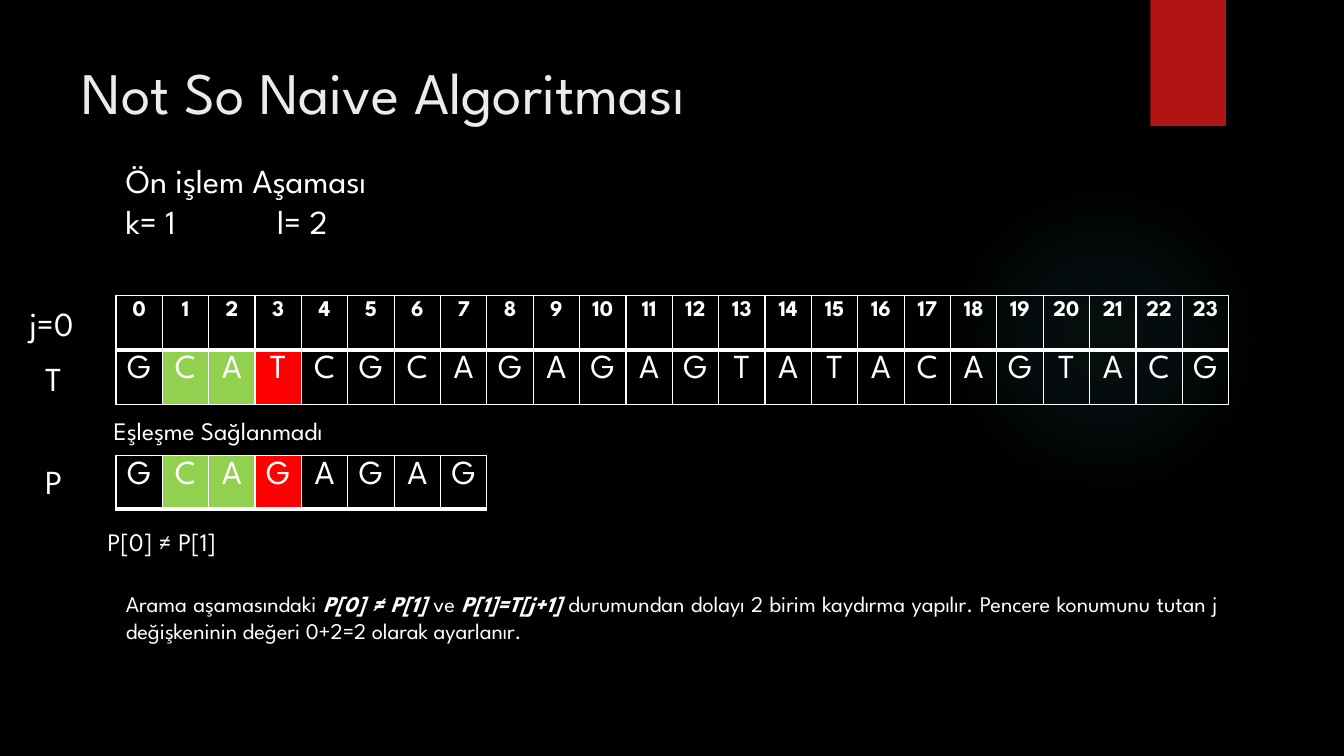
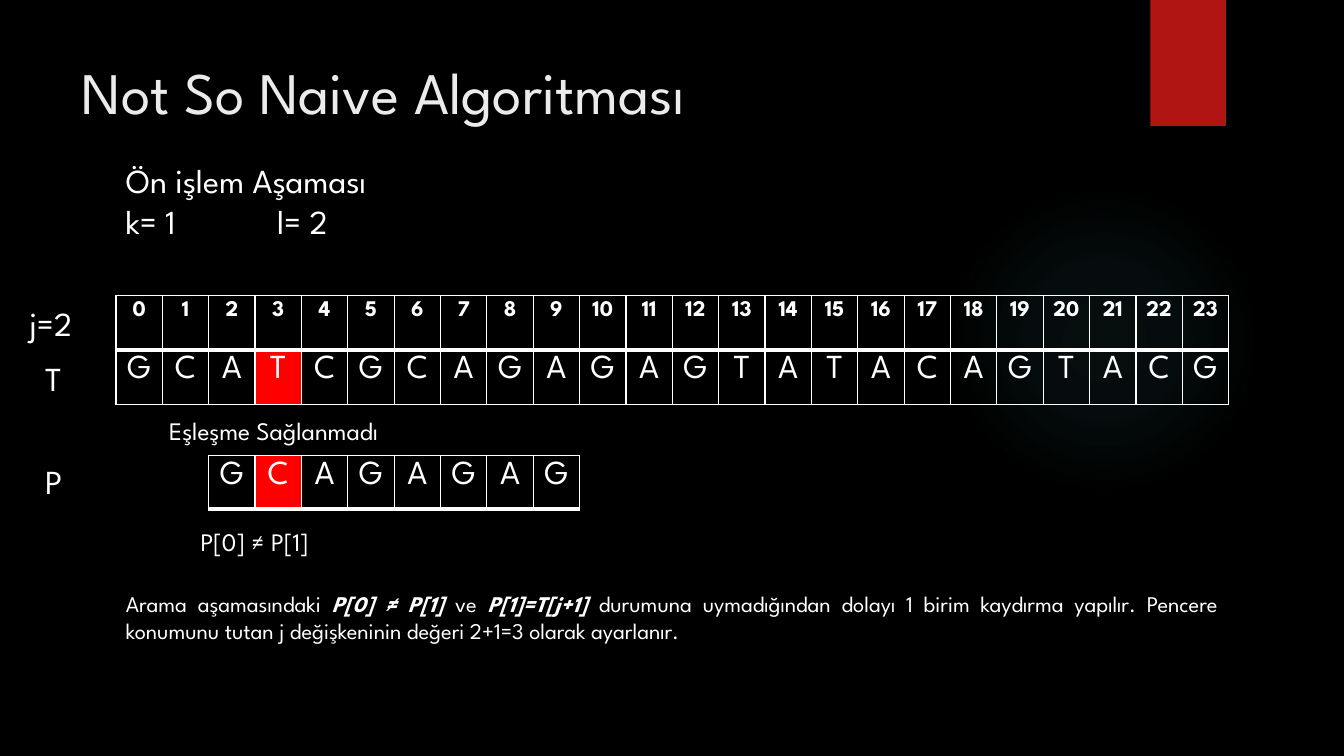
import dataclasses
import typing

import lxml.etree
import pptx
import pptx.dml.color
import pptx.enum.shapes
import pptx.enum.text
import pptx.oxml.ns
import pptx.presentation
import pptx.shapes.autoshape
import pptx.slide
import pptx.table
import pptx.text.text
import pptx.util

EMU_PER_PX = 9144
FONT = "League Spartan"
COLORS = {
    "background": "000000",
    "title": "EBEBEB",
    "text": "FFFFFF",
    "band": "B01513",
    "glow": "50B9C1",
    "match": "92D050",
    "mismatch": "FF0000",
}
GLOW_STOPS = ((0, 7), (36, 6), (69, 0))
SEARCHED_TEXT = "GCATCGCAGAGAGTATACAGTACG"
PATTERN = "GCAGAGAG"
TABLE_LEFT = 115
COLUMN_WIDTH = 46
LEFT = pptx.enum.text.PP_ALIGN.LEFT
CENTER = pptx.enum.text.PP_ALIGN.CENTER
JUSTIFY = pptx.enum.text.PP_ALIGN.JUSTIFY


@dataclasses.dataclass(frozen=True)
class Box:
    left: int
    top: int
    width: int
    height: int

    def emu(self) -> tuple[int, int, int, int]:
        return px(self.left), px(self.top), px(self.width), px(self.height)


@dataclasses.dataclass(frozen=True)
class Label:
    text: str
    box: Box
    size: int


@dataclasses.dataclass(frozen=True)
class TableRow:
    values: typing.Sequence[str]
    size: int
    bottom_border: int
    bold: bool = False
    fills: dict[int, str] = dataclasses.field(default_factory=dict)


@dataclasses.dataclass(frozen=True)
class Step:
    shift: int
    pattern_fills: dict[int, str]
    verdict_left: int
    conclusion: str


STEPS = (
    Step(
        0,
        {1: "match", 2: "match", 3: "mismatch"},
        103,
        "durumundan dolayı 2 birim kaydırma yapılır. Pencere konumunu tutan j "
        "değişkeninin değeri 0+2=2 olarak ayarlanır.",
    ),
    Step(
        2,
        {1: "mismatch"},
        158,
        "durumuna uymadığından dolayı 1 birim kaydırma yapılır. Pencere konumunu tutan j "
        "değişkeninin değeri 2+1=3 olarak ayarlanır.",
    ),
)

SHARED_LABELS = (
    Label("T", Box(35, 350, 35, 50), 24),
    Label("P", Box(35, 452, 40, 50), 24),
)


def px(length: int) -> int:
    return pptx.util.Emu(length * EMU_PER_PX)


def rgb(name: str) -> pptx.dml.color.RGBColor:
    return pptx.dml.color.RGBColor.from_string(COLORS[name])


def add_xml(parent: typing.Any, tag: str, **attributes: typing.Any) -> typing.Any:
    values = {key: str(value) for key, value in attributes.items()}
    return lxml.etree.SubElement(parent, pptx.oxml.ns.qn(tag), values)


def format_paragraph(
    paragraph: pptx.text.text._Paragraph,
    size: int,
    color: str = "text",
    alignment: pptx.enum.text.PP_ALIGN = LEFT,
    bold: bool = False,
) -> None:
    paragraph.alignment = alignment
    for run in paragraph.runs:
        run.font.name = FONT
        run.font.size = pptx.util.Pt(size)
        run.font.color.rgb = rgb(color)
        run.font.bold = bold


def add_label(
    slide: pptx.slide.Slide, label: Label, wrap: bool = False
) -> pptx.text.text.TextFrame:
    text_frame = slide.shapes.add_textbox(*label.box.emu()).text_frame
    text_frame.word_wrap = wrap
    text_frame.auto_size = pptx.enum.text.MSO_AUTO_SIZE.SHAPE_TO_FIT_TEXT
    text_frame.text = label.text
    for paragraph in text_frame.paragraphs:
        format_paragraph(paragraph, label.size)
    return text_frame


def add_preprocessing(slide: pptx.slide.Slide) -> None:
    label = Label("Ön işlem Aşaması\nk= 1\tl= 2", Box(TABLE_LEFT, 154, 313, 91), 24)
    paragraph = add_label(slide, label).paragraphs[1]
    tab_list = add_xml(paragraph._p.get_or_add_pPr(), "a:tabLst")
    add_xml(tab_list, "a:tab", pos=px(150), algn="l")


def add_explanation(slide: pptx.slide.Slide, conclusion: str) -> None:
    label = Label("Arama aşamasındaki ", Box(TABLE_LEFT, 581, 1103, 64), 16)
    paragraph = add_label(slide, label, wrap=True).paragraphs[0]
    for text in ("P[0] ≠ P[1] ", "ve ", "P[1]=T[j+1] ", conclusion):
        paragraph.add_run().text = text
    format_paragraph(paragraph, label.size, alignment=JUSTIFY)
    for run in paragraph.runs[1::2]:
        run.font.bold = True
        run.font.italic = True


def set_borders(cell: pptx.table._Cell, bottom: int) -> None:
    properties = cell._tc.get_or_add_tcPr()
    for side, width in (("L", 1), ("R", 1), ("T", 1), ("B", bottom)):
        line = add_xml(properties, f"a:ln{side}", w=pptx.util.Pt(width))
        add_xml(add_xml(line, "a:solidFill"), "a:srgbClr", val=COLORS["text"])


def add_letter_table(
    slide: pptx.slide.Slide, left: int, top: int, row_height: int, rows: typing.Sequence[TableRow]
) -> None:
    column_count = len(rows[0].values)
    box = Box(left, top, column_count * COLUMN_WIDTH, len(rows) * row_height)
    table = slide.shapes.add_table(len(rows), column_count, *box.emu()).table
    table.first_row = False
    table.horz_banding = False
    for row_index, row in enumerate(rows):
        for column_index, value in enumerate(row.values):
            cell = table.cell(row_index, column_index)
            cell.margin_left = cell.margin_right = px(5)
            cell.text_frame.text = value
            format_paragraph(
                cell.text_frame.paragraphs[0], row.size, alignment=CENTER, bold=row.bold
            )
            set_borders(cell, row.bottom_border)
            if column_index in row.fills:
                cell.fill.solid()
                cell.fill.fore_color.rgb = rgb(row.fills[column_index])
            else:
                cell.fill.background()


def fill_with_glow(shape: pptx.shapes.autoshape.Shape) -> None:
    shape.fill.gradient()
    gradient = shape.element.spPr.find(pptx.oxml.ns.qn("a:gradFill"))
    for child in list(gradient):
        gradient.remove(child)
    stops = add_xml(gradient, "a:gsLst")
    for position, opacity in GLOW_STOPS:
        stop = add_xml(stops, "a:gs", pos=position * 1000)
        color = add_xml(stop, "a:srgbClr", val=COLORS["glow"])
        add_xml(color, "a:alpha", val=opacity * 1000)
    circle = add_xml(gradient, "a:path", path="circle")
    add_xml(circle, "a:fillToRect", l=50000, t=50000, r=50000, b=50000)


def decorate_layout(layout: pptx.slide.SlideLayout, slide: pptx.slide.Slide) -> None:
    shape_types = pptx.enum.shapes.MSO_SHAPE
    glow = slide.shapes.add_shape(shape_types.OVAL, *Box(941, 183, 308, 308).emu())
    fill_with_glow(glow)
    band = slide.shapes.add_shape(shape_types.RECTANGLE, *Box(1141, 0, 75, 125).emu())
    band.fill.solid()
    band.fill.fore_color.rgb = rgb("band")
    for index, shape in enumerate((glow, band)):
        shape.line.fill.background()
        shape.shadow.inherit = False
        shape.element.nvSpPr.cNvPr.id = 20 + index
        layout.shapes.element.insert(2 + index, shape.element)


def set_title(slide: pptx.slide.Slide) -> None:
    title = slide.shapes.title
    title.left, title.top, title.width, title.height = Box(71, 50, 1029, 153).emu()
    text_frame = title.text_frame
    text_frame.text = "Not So Naive Algoritması"
    text_frame.vertical_anchor = pptx.enum.text.MSO_ANCHOR.TOP
    text_frame.auto_size = pptx.enum.text.MSO_AUTO_SIZE.NONE
    format_paragraph(text_frame.paragraphs[0], 42, "title")


def fill_step_slide(slide: pptx.slide.Slide, step: Step) -> None:
    set_title(slide)
    add_preprocessing(slide)
    text_fills = {index + step.shift: color for index, color in step.pattern_fills.items()}
    numbers = [str(index) for index in range(len(SEARCHED_TEXT))]
    text_rows = (
        TableRow(numbers, 16, 3, bold=True),
        TableRow(SEARCHED_TEXT, 24, 1, fills=text_fills),
    )
    add_letter_table(slide, TABLE_LEFT, 293, 54, text_rows)
    pattern_left = TABLE_LEFT + step.shift * COLUMN_WIDTH
    pattern_row = TableRow(PATTERN, 24, 3, fills=step.pattern_fills)
    add_letter_table(slide, pattern_left, 452, 53, (pattern_row,))
    step_labels = (
        Label(f"j={step.shift}", Box(19, 296, 66, 50), 24),
        Label("Eşleşme Sağlanmadı", Box(step.verdict_left, 407, 270, 40), 18),
        Label("P[0] ≠ P[1]", Box(pattern_left - 18, 517, 142, 40), 18),
    )
    for label in SHARED_LABELS + step_labels:
        add_label(slide, label)
    add_explanation(slide, step.conclusion)


def main() -> None:
    presentation = pptx.Presentation()
    presentation.slide_width = px(1333)
    presentation.slide_height = px(750)
    background = presentation.slide_master.background.fill
    background.solid()
    background.fore_color.rgb = rgb("background")
    layout = presentation.slide_layouts.get_by_name("Title Only")
    slides = [presentation.slides.add_slide(layout) for _ in STEPS]
    decorate_layout(layout, slides[0])
    for slide, step in zip(slides, STEPS):
        fill_step_slide(slide, step)
    presentation.save("out.pptx")


if __name__ == "__main__":
    main()
